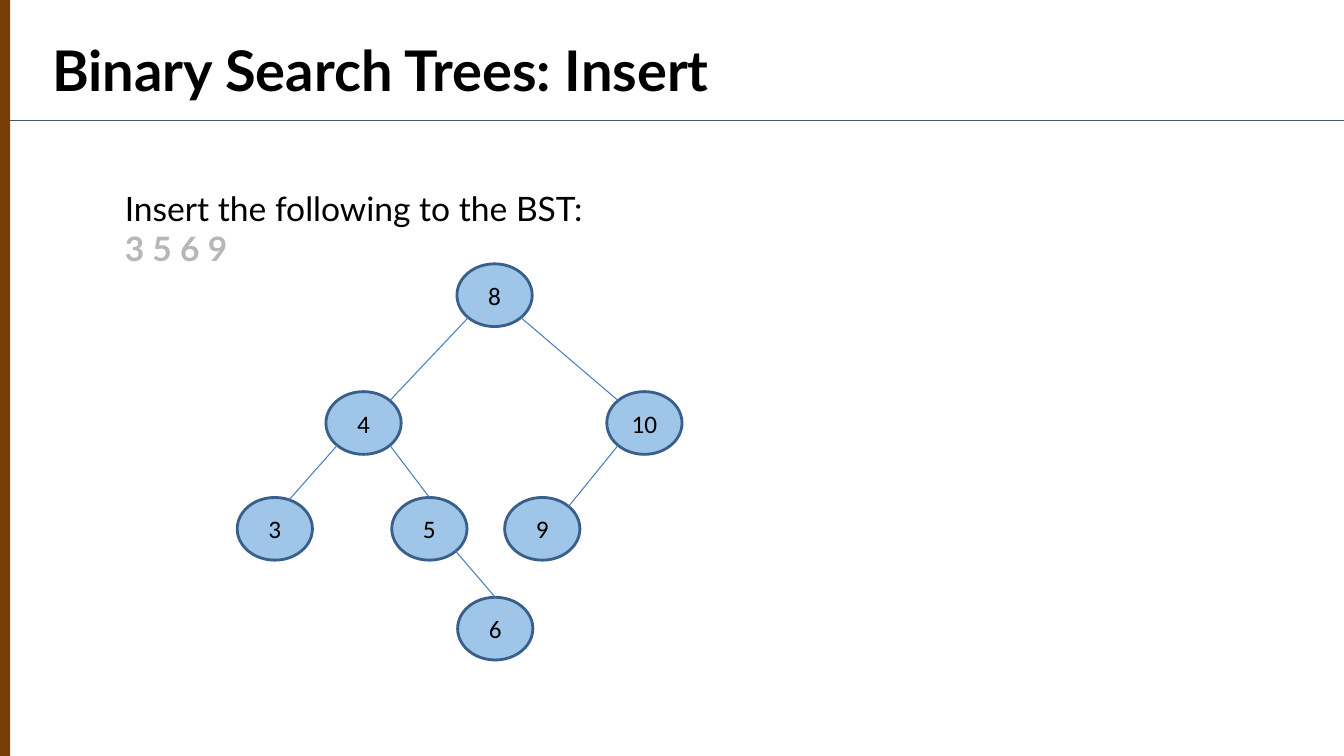
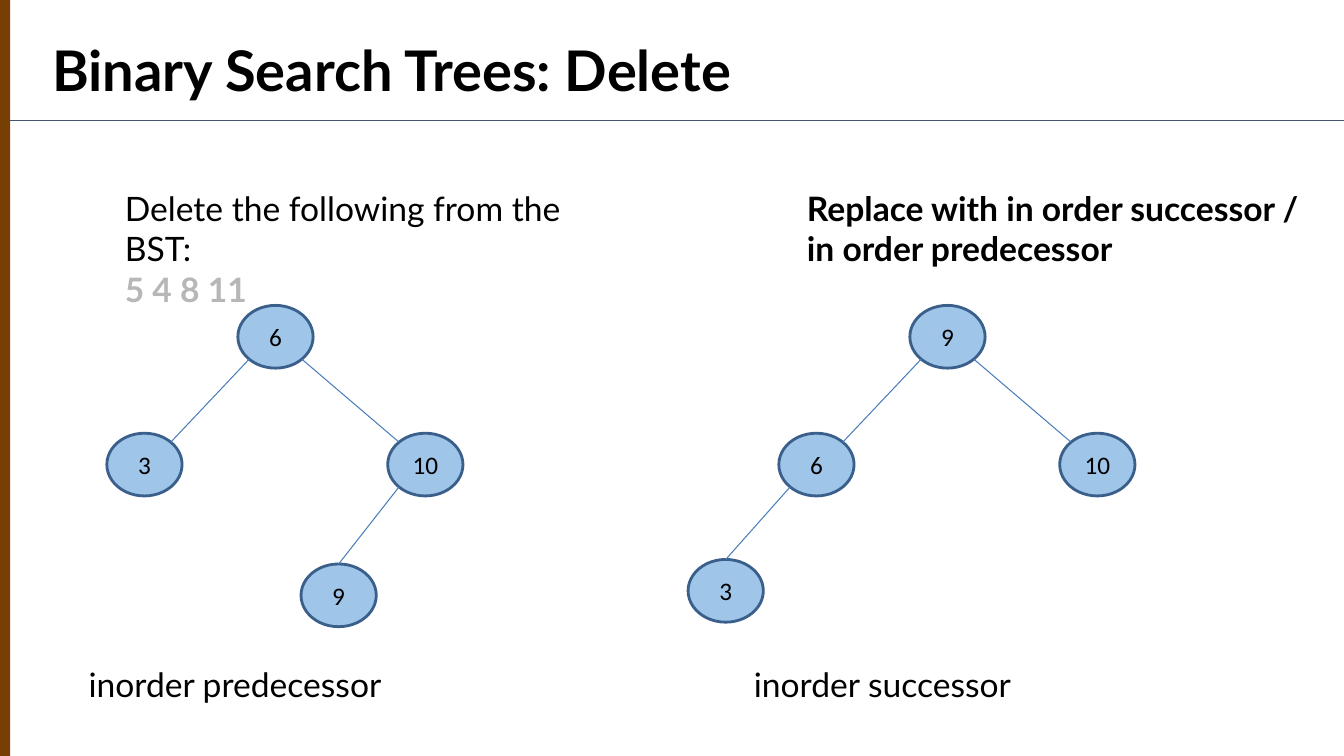
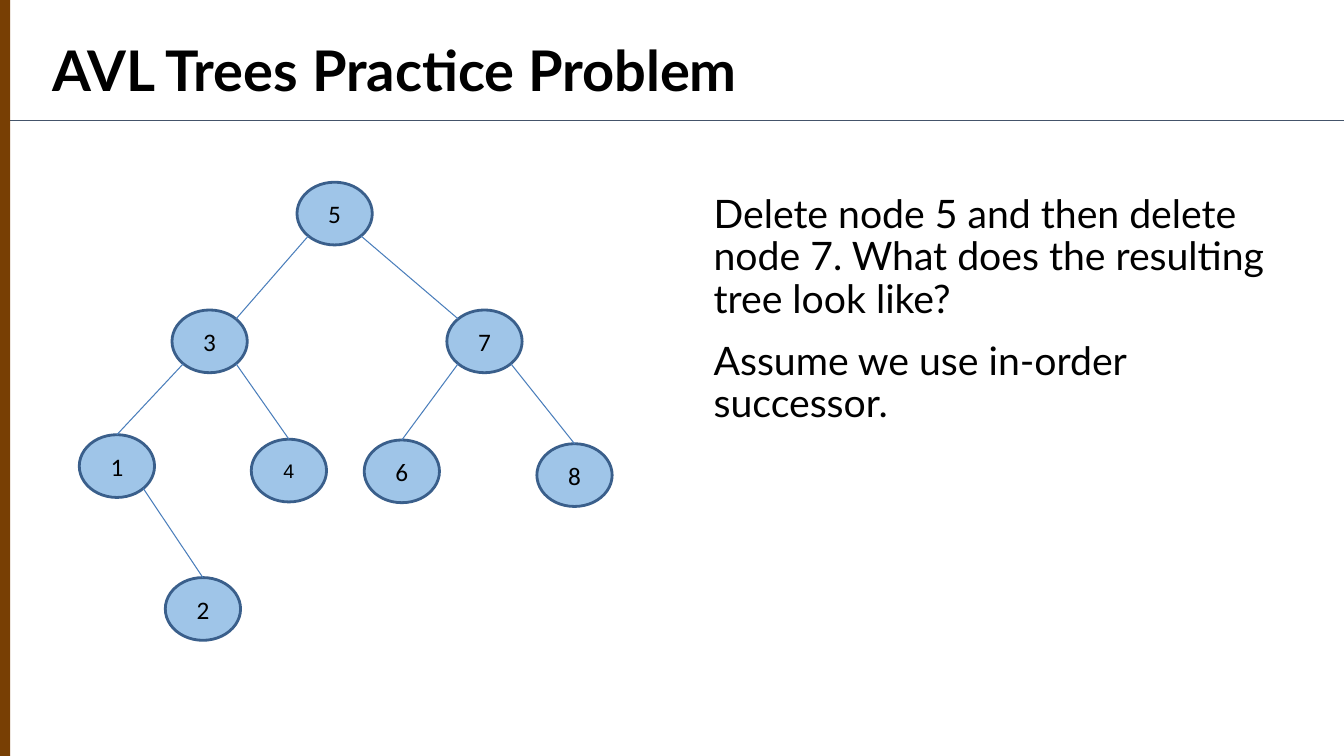
from dataclasses import dataclass
from math import sqrt

from lxml import etree
from pptx import Presentation
from pptx.dml.color import RGBColor
from pptx.enum.shapes import MSO_CONNECTOR, MSO_SHAPE
from pptx.enum.text import MSO_ANCHOR, PP_ALIGN
from pptx.oxml.ns import qn
from pptx.util import Inches, Pt

OVAL, RECT = MSO_SHAPE.OVAL, MSO_SHAPE.RECTANGLE
STRAIGHT = MSO_CONNECTOR.STRAIGHT
MIDDLE, CENTER = MSO_ANCHOR.MIDDLE, PP_ALIGN.CENTER
TOP_SITE = 0

SLIDE_W, SLIDE_H = Inches(13.33), Inches(7.5)
COL, ROW = SLIDE_W / 100, SLIDE_H / 100
NODE_W, NODE_H = 5.6, 8.3
SHOULDER = 0.7
TOP = 0

COLORS = {
    "text": "000000",
    "muted": "B7B7B7",
    "band": "783F04",
    "rule": "44546A",
    "node": "9FC5E8",
    "outline": "3A5F8B",
    "edge": "4A7EBB",
}
HEADING, BODY, LABEL = "Lato", "Lato", "Calibri"


@dataclass
class Child:
    """A tree node set off from its parent, with the point where its edge lands."""
    value: str
    parent: str
    dx: float
    dy: float
    landing: float = TOP
    font: str = LABEL
    size: int = 18


def color(name):
    """Look up a palette colour."""
    return RGBColor.from_string(COLORS[name])


def place(x, y, *more):
    """Turn columns and rows into lengths on the slide."""
    return [round(v * (ROW if i % 2 else COL)) for i, v in enumerate((x, y, *more))]


def add_run(paragraph, text, size, font, bold=False, tint="text"):
    """Append one styled run."""
    run = paragraph.add_run()
    run.text = text
    run.font.size, run.font.name, run.font.bold = Pt(size), font, bold
    run.font.color.rgb = color(tint)


def add_text(slide, box, lines, size=24, inset=(0.1, 0.1), spacing=None, gap=0):
    """Write lines of (text, bold, tint) into a box, one paragraph each."""
    frame = slide.shapes.add_textbox(*place(*box)).text_frame
    frame.word_wrap = True
    frame.margin_left = frame.margin_right = Inches(inset[0])
    frame.margin_top = frame.margin_bottom = Inches(inset[1])
    for index, (text, bold, tint) in enumerate(lines):
        paragraph = frame.add_paragraph() if index else frame.paragraphs[0]
        if spacing:
            paragraph.line_spacing = spacing
        if index:
            paragraph.space_before = Pt(gap)
        add_run(paragraph, text, size, BODY, bold, tint)


def add_line(slide, start, end, tint):
    """Draw a thin straight line between two grid points."""
    line = slide.shapes.add_connector(STRAIGHT, *place(*start, *end))
    line.line.color.rgb = color(tint)
    line.line.width = Pt(0.75)
    etree.SubElement(line._element.spPr, qn("a:effectLst"))
    return line


def add_slide(deck, title):
    """Start a slide with the side band, the rule and the title."""
    slide = deck.slides.add_slide(deck.slide_layouts[6])
    add_line(slide, (0.75, 16), (100, 16), "rule")
    band = slide.shapes.add_shape(RECT, *place(0, 0, 0.75, 100))
    band.shadow.inherit = False
    band.fill.solid()
    band.fill.fore_color.rgb = color("band")
    band.line.fill.background()
    add_text(slide, (3.15, 3.33, 96.85, 16.1), [(title, True, "text")], size=40)
    return slide


def add_node(slide, x, y, value, font=LABEL, size=18):
    """Draw a labelled tree node."""
    node = slide.shapes.add_shape(OVAL, *place(x, y, NODE_W, NODE_H))
    node.shadow.inherit = False
    node.fill.solid()
    node.fill.fore_color.rgb = color("node")
    node.line.color.rgb = color("outline")
    node.line.width = Pt(2)
    frame = node.text_frame
    frame.vertical_anchor = MIDDLE
    frame.paragraphs[0].alignment = CENTER
    add_run(frame.paragraphs[0], value, size, font)
    return node


def rim(x, y, across, down):
    """Find the point on a node's outline at a share of its half width."""
    height = down * sqrt(1 - across ** 2)
    return x + NODE_W / 2 * (1 + across), y + NODE_H / 2 * (1 + height)


def add_tree(slide, x, y, root, children):
    """Draw a tree whose root sits at the given grid point."""
    spots = {root: (x, y)}
    add_node(slide, x, y, root)
    for child in children:
        px, py = spots[child.parent]
        cx, cy = spots[child.value] = px + child.dx, py + child.dy
        node = add_node(slide, cx, cy, child.value, child.font, child.size)
        side = 1 if child.dx > 0 else -1
        edge = add_line(slide, rim(px, py, side * SHOULDER, 1),
                        rim(cx, cy, -side * child.landing, -1), "edge")
        if child.landing == TOP:
            edge.end_connect(node, TOP_SITE)


def branches(root, left, right, reach=9.75):
    """Give the two children that hang from a root."""
    return [Child(left, root, -reach, 16.9, SHOULDER),
            Child(right, root, 11.15, 16.9, SHOULDER)]


def insert_slide(deck):
    """Build the insertion exercise."""
    slide = add_slide(deck, "Binary Search Trees: Insert")
    add_text(slide, (8.55, 23.5, 58.1, 10.4), [
        ("Insert the following to the BST:", False, "text"),
        ("3 5 6 9", True, "muted")])
    add_tree(slide, 34, 34.9, "8", branches("8", "4", "10") + [
        Child("3", "4", -6.6, 14, 0.38),
        Child("5", "4", 4.9, 14),
        Child("9", "10", -7.6, 14, SHOULDER),
        Child("6", "5", 4.9, 13.2)])


def delete_slide(deck):
    """Build the deletion exercise with both replacements."""
    slide = add_slide(deck, "Binary Search Trees: Delete")
    add_text(slide, (8.55, 23.5, 37.7, 5), [
        ("Delete the following from the BST:", False, "text"),
        ("5 4 8 11", True, "muted")])
    add_text(slide, (59.3, 23.5, 38.8, 27.5), [
        ("Replace with in order successor / in order predecessor", True, "text")])
    add_tree(slide, 17.7, 40.4, "6", branches("6", "3", "10") + [
        Child("9", "10", -6.45, 17.3)])
    add_tree(slide, 67.7, 40.4, "9", branches("9", "6", "10") + [
        Child("3", "6", -6.75, 16.7)])
    for x, caption in ((5.85, "inorder predecessor"), (55.35, "inorder successor")):
        add_text(slide, (x, 86.5, 32, 5), [(caption, False, "text")])


def practice_slide(deck):
    """Build the AVL practice problem."""
    slide = add_slide(deck, "AVL Trees Practice Problem")
    add_tree(slide, 22.1, 24.1, "5", branches("5", "3", "7", reach=9.3) + [
        Child("1", "3", -6.9, 16.5),
        Child("4", "3", 5.9, 17.1, font="Arial", size=14),
        Child("6", "7", -6.15, 17.2),
        Child("8", "7", 6.7, 17.7),
        Child("2", "1", 6.4, 18.9)])
    add_text(slide, (53.1, 25.1, 42.5, 58.7), [
        ("Delete node 5 and then delete node 7. What does the resulting tree look like?",
         False, "text"),
        ("Assume we use in-order successor.", False, "text")],
        size=28, inset=(0, 0.05), spacing=0.9, gap=14)


def main():
    """Build and save the deck."""
    deck = Presentation()
    deck.slide_width, deck.slide_height = SLIDE_W, SLIDE_H
    for build in (insert_slide, delete_slide, practice_slide):
        build(deck)
    deck.save("out.pptx")


if __name__ == "__main__":
    main()
